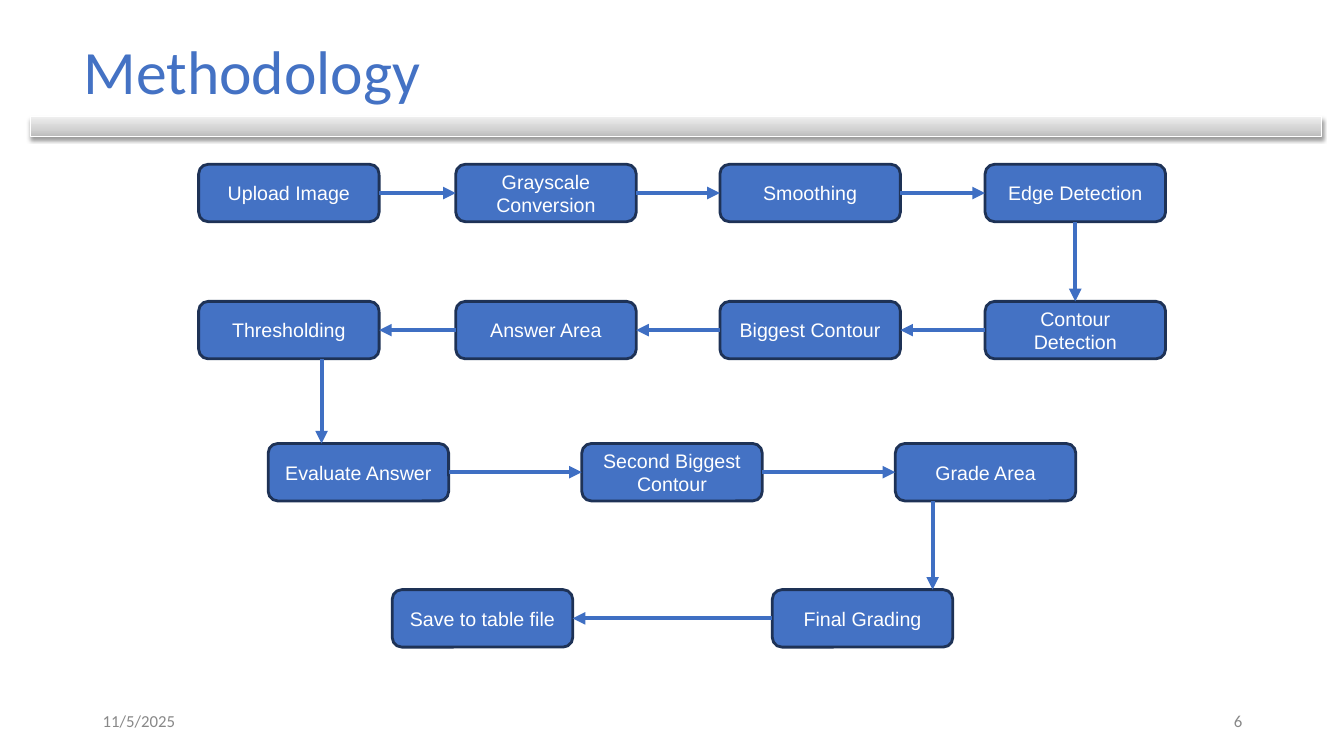
from lxml import etree
from pptx import Presentation
from pptx.dml.color import RGBColor
from pptx.enum.shapes import MSO_CONNECTOR, MSO_SHAPE
from pptx.enum.text import MSO_ANCHOR, PP_ALIGN
from pptx.oxml import parse_xml
from pptx.oxml.ns import qn
from pptx.util import Pt

PX = 9144
RECT, ROUND = MSO_SHAPE.RECTANGLE, MSO_SHAPE.ROUNDED_RECTANGLE
STRAIGHT = MSO_CONNECTOR.STRAIGHT
MIDDLE = MSO_ANCHOR.MIDDLE
LEFT, CENTER, RIGHT = PP_ALIGN.LEFT, PP_ALIGN.CENTER, PP_ALIGN.RIGHT
NS = "http://schemas.openxmlformats.org/drawingml/2006/main"
BLUE, NAVY, ARROW, WHITE, GRAY = "4472C4", "1E3256", "3F6FC3", "FFFFFF", "888888"
WIDE, HIGH = 179, 57


def color(code):
    return RGBColor.from_string(code)


def write(shape, text, size, face, ink, align):
    frame = shape.text_frame
    frame.word_wrap = True
    frame.vertical_anchor = MIDDLE
    para = frame.paragraphs[0]
    para.alignment = align
    run = para.add_run()
    run.text = text
    run.font.size = Pt(size)
    run.font.name = face
    run.font.color.rgb = color(ink)
    return para


deck = Presentation()
deck.slide_width, deck.slide_height = 1333 * PX, 750 * PX
slide = deck.slides.add_slide(deck.slide_layouts[6])
shapes = slide.shapes

labels = [
    ("Methodology", 73, 1, 1150, 145, 44, BLUE, LEFT),
    ("11/5/2025", 92, 695, 300, 40, 12, GRAY, LEFT),
    ("6", 942, 695, 300, 40, 12, GRAY, RIGHT),
]
for text, x, y, w, h, size, ink, align in labels:
    box = shapes.add_textbox(x * PX, y * PX, w * PX, h * PX)
    para = write(box, text, size, "Calibri", ink, align)
    if text == "Methodology":
        para.line_spacing = 0.9

cols = [197, 452, 714, 977]
rows = [
    (163, cols, ["Upload Image", "Grayscale Conversion", "Smoothing", "Edge Detection"]),
    (299, cols[::-1], ["Contour Detection", "Biggest Contour", "Answer Area", "Thresholding"]),
    (440, [266, 577, 888], ["Evaluate Answer", "Second Biggest Contour", "Grade Area"]),
    (585, [766, 389], ["Final Grading", "Save to table file"]),
]
steps = {}
links = [("Edge Detection", "Contour Detection", 2, 0)]
for top, lefts, names in rows:
    for name, left in zip(names, lefts):
        step = shapes.add_shape(ROUND, left * PX, top * PX, WIDE * PX, HIGH * PX)
        step.shadow.inherit = False
        step.fill.solid()
        step.fill.fore_color.rgb = color(BLUE)
        step.line.color.rgb = color(NAVY)
        step.line.width = Pt(2)
        write(step, name, 14, "Arial", WHITE, CENTER)
        steps[name] = step
    sides = (3, 1) if lefts[0] < lefts[1] else (1, 3)
    links += [(start, end, *sides) for start, end in zip(names, names[1:])]

arrows = []
for start, end, out, into in links:
    arrow = shapes.add_connector(STRAIGHT, 0, 0, 0, 0)
    arrow.begin_connect(steps[start], out)
    arrow.end_connect(steps[end], into)
    arrows.append(arrow)
for x, start, end in [(319, 356, 440), (925, 497, 585)]:
    arrows.append(shapes.add_connector(STRAIGHT, x * PX, start * PX, x * PX, end * PX))
for arrow in arrows:
    arrow.line.color.rgb = color(ARROW)
    arrow.line.width = Pt(3)
    etree.SubElement(arrow.line._get_or_add_ln(), qn("a:tailEnd"), type="triangle")
    etree.SubElement(arrow._element.spPr, qn("a:effectLst"))

bar = shapes.add_shape(RECT, 30 * PX, 116 * PX, 1281 * PX, 19 * PX)
bar.line.color.rgb = color(WHITE)
bar.line.width = Pt(0.75)
stops = "".join(
    f'<a:gs pos="{at * 1000}"><a:srgbClr val="{tone}"/></a:gs>'
    for at, tone in [(0, "BDBDBD"), (35, "D1D1D1"), (100, "EEEEEE")]
)
fade = parse_xml(
    f'<a:gradFill xmlns:a="{NS}" rotWithShape="1"><a:gsLst>{stops}</a:gsLst>'
    '<a:lin ang="16200000" scaled="0"/></a:gradFill>'
)
shade = parse_xml(
    f'<a:effectLst xmlns:a="{NS}"><a:outerShdw blurRad="{Pt(3.1)}" dist="{Pt(1.6)}" '
    'dir="5400000" rotWithShape="0"><a:srgbClr val="000000"><a:alpha val="38000"/>'
    '</a:srgbClr></a:outerShdw></a:effectLst>'
)
props = bar._element.spPr
props.find(qn("a:ln")).addprevious(fade)
props.append(shade)

deck.save("out.pptx")
